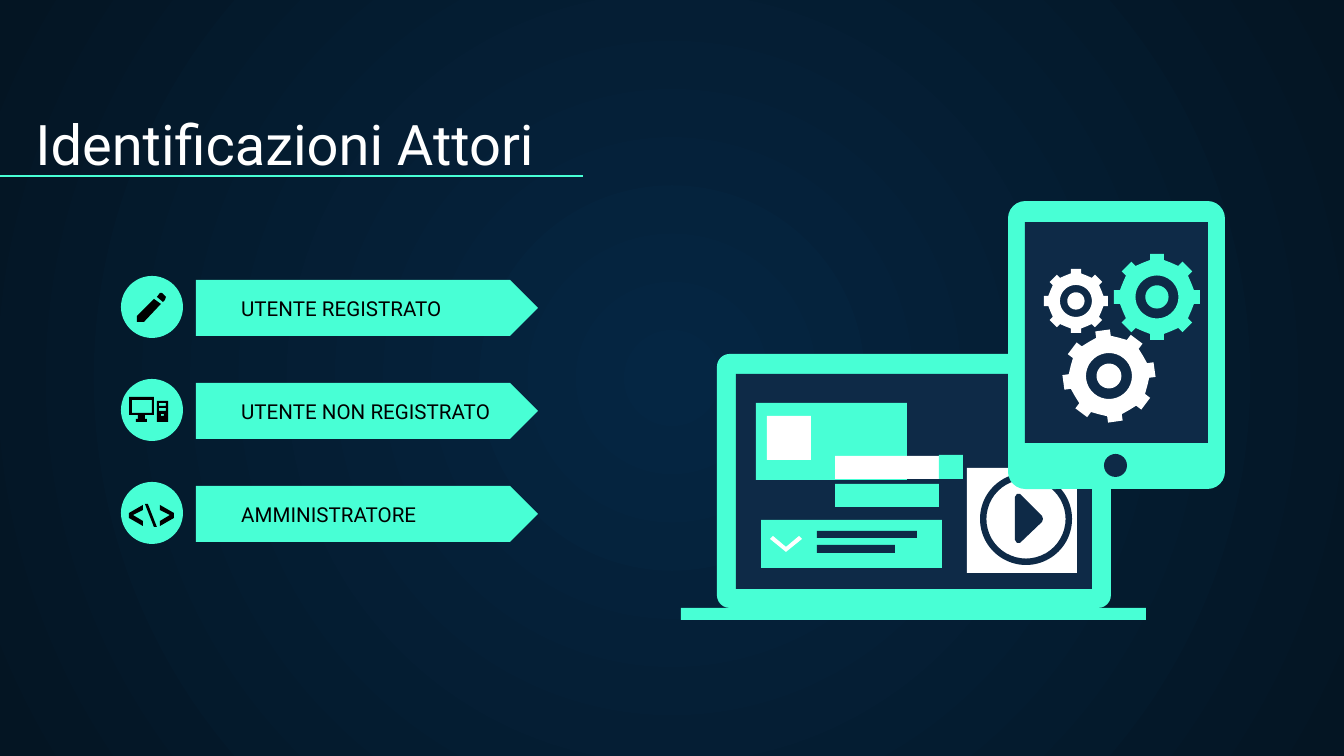
import math

import pptx
import pptx.dml.color
import pptx.enum.shapes
import pptx.enum.text
import pptx.oxml.ns
import pptx.util
from lxml import etree

SCALE = 914400 / 134.4  # EMU in one px
WIDTH, HEIGHT = 1344, 756
FONT = "Roboto"
COLORS = {
    "mint": "48FFD5",
    "navy": "0E2A47",
    "white": "FFFFFF",
    "black": "000000",
    "glow": "052643",
    "edge": "041523",
}
KIND = pptx.enum.shapes.MSO_SHAPE

# Icon outlines, in px from the corner of their disc
PENCIL = [
    [(33, 23), (16, 40), (16, 46), (23, 46), (40, 28)],
    [(36, 21), (42, 26), (44, 24), (45, 21), (41, 17), (39, 17)],
]
LEFT_BRACKET = [(22, 44), (8, 36), (8, 31), (22, 23), (22, 28), (12, 33), (22, 39)]
CODE = [
    LEFT_BRACKET,
    [(24, 22), (27, 22), (36, 45), (33, 45)],
    [(61 - x, y) for x, y in LEFT_BRACKET],
]


def corners(left, top, right, bottom):
    return [(left, top), (right, top), (right, bottom), (left, bottom)]


COMPUTER = [
    [(8, 18), (33, 18), (33, 36), (24, 36), (24, 40), (26, 40), (26, 43),
     (15, 43), (15, 40), (17, 40), (17, 36), (8, 36)],
    corners(11, 21, 31, 34),
    corners(36, 22, 47, 43),
    corners(38, 24, 45, 27),
    corners(38, 29, 45, 32),
    corners(40, 35, 43, 37),
]


def emu(px):
    return pptx.util.Emu(round(px * SCALE))


def rgb(name):
    return pptx.dml.color.RGBColor.from_string(COLORS[name])


def paint(shape, color):
    shape.shadow.inherit = False
    shape.fill.solid()
    shape.fill.fore_color.rgb = rgb(color)
    shape.line.fill.background()
    return shape


def add_block(page, left, top, width, height, color, kind=KIND.RECTANGLE, adjust=None):
    shape = page.shapes.add_shape(kind, emu(left), emu(top), emu(width), emu(height))
    if adjust is not None:
        shape.adjustments[0] = adjust
    return paint(shape, color)


def add_outline(page, left, top, contours, color):
    """Draw closed contours as one shape; inner contours become holes."""
    fine = 100  # steps in one px
    builder = None
    for contour in contours:
        points = [(x * fine, y * fine) for x, y in contour]
        if builder is None:
            builder = page.shapes.build_freeform(*points[0], scale=SCALE / fine)
        else:
            builder.move_to(*points[0])
        builder.add_line_segments(points[1:], close=True)
    return paint(builder.convert_to_shape(emu(left), emu(top)), color)


def write(shape, text, size, color):
    frame = shape.text_frame
    frame.text = text
    frame.word_wrap = True
    frame.auto_size = pptx.enum.text.MSO_AUTO_SIZE.NONE
    frame.vertical_anchor = pptx.enum.text.MSO_ANCHOR.BOTTOM
    frame.margin_left = frame.margin_right = pptx.util.Inches(0.1)
    frame.margin_top = frame.margin_bottom = pptx.util.Inches(0.1)
    para = frame.paragraphs[0]
    para.alignment = pptx.enum.text.PP_ALIGN.LEFT
    for span in para.runs:
        span.font.name = FONT
        span.font.size = pptx.util.Pt(size)
        span.font.color.rgb = rgb(color)


def set_background(page):
    fill = page.background.fill
    fill.gradient()
    for stop, color in zip(fill.gradient_stops, ("glow", "edge")):
        stop.color.rgb = rgb(color)
    # Turn the linear gradient into a radial one
    qn = pptx.oxml.ns.qn
    gradient = page.element.find(".//" + qn("a:gradFill"))
    gradient.remove(gradient.find(qn("a:lin")))
    radial = etree.SubElement(gradient, qn("a:path"), path="circle")
    etree.SubElement(radial, qn("a:fillToRect"), l="50000", t="50000", r="50000", b="50000")


def add_heading(page, left, top, width, height):
    title = page.shapes.title
    title.left, title.top = emu(left), emu(top)
    title.width, title.height = emu(width), emu(height)
    write(title, "Identificazioni Attori", 30, "white")
    # Rule from the slide edge
    rule_y = emu(top + 75)
    rule = page.shapes.add_connector(
        pptx.enum.shapes.MSO_CONNECTOR.STRAIGHT, 0, rule_y, emu(583), rule_y)
    rule.line.color.rgb = rgb("mint")
    rule.line.width = pptx.util.Pt(0.75)
    etree.SubElement(rule._element.spPr, pptx.oxml.ns.qn("a:effectLst"))


def add_actor(page, left, top, label, icon):
    add_block(page, left + 75, top + 4, 342, 56, "mint", KIND.PENTAGON, 0.5)
    add_block(page, left, top, 62, 62, "mint", KIND.OVAL)
    icon_left = left + min(x for contour in icon for x, y in contour)
    icon_top = top + min(y for contour in icon for x, y in contour)
    shape = add_outline(page, left, top, icon, "black")
    shape.left, shape.top = emu(icon_left), emu(icon_top)
    box = page.shapes.add_textbox(emu(left + 107), emu(top + 30), emu(305), emu(28))
    write(box, label, 11, "black")


def add_laptop(page, left, top):
    # Lid, then the flat parts from back to front
    add_block(page, left + 36, top, 394, 254, "mint", KIND.ROUNDED_RECTANGLE, 0.05)
    parts = [
        (55, 20, 356, 215, "navy"),    # screen
        (0, 254, 465, 12, "mint"),     # base
        (75, 49, 151, 77, "mint"),     # card
        (86, 62, 44, 44, "white"),     # thumbnail
        (80, 166, 181, 48, "mint"),    # drop-down
        (136, 177, 100, 7, "navy"),    # text lines
        (136, 191, 78, 8, "navy"),
        (154, 130, 104, 23, "mint"),   # button
        (154, 102, 104, 23, "white"),  # search field
        (258, 101, 24, 24, "mint"),    # search button
        (286, 114, 110, 105, "white"),  # video
    ]
    for x, y, width, height, color in parts:
        add_block(page, left + x, top + y, width, height, color)
    # Chevron and play button
    chevron = [(92, 182), (105, 193), (118, 182), (121, 185), (105, 198), (89, 185)]
    play = [(334, 143), (336, 140), (339, 140), (361, 162), (362, 165),
            (361, 168), (339, 189), (336, 189), (334, 186)]
    add_block(page, left + 299, top + 119, 92, 92, "navy", KIND.DONUT, 0.07)
    for contour, color in ((chevron, "white"), (play, "navy")):
        add_outline(page, left, top, [contour], color)


def add_gear(page, x, y, radius, color, turn=0):
    """Draw an eight-toothed gear around (x, y)."""
    def ring(ratio):
        angles = (math.radians(step * 10) for step in range(36))
        return [(radius * ratio * math.cos(a), radius * ratio * math.sin(a)) for a in angles]

    rim = []
    root, half_tooth = 0.86, 0.16
    for tooth in range(8):
        angle = math.radians(tooth * 45 + turn)
        cos, sin = math.cos(angle), math.sin(angle)
        for along, across in ((root, -half_tooth), (1, -half_tooth), (1, half_tooth), (root, half_tooth)):
            rim.append((radius * (along * cos - across * sin), radius * (along * sin + across * cos)))
        gap = angle + math.pi / 8
        rim.append((radius * root * math.cos(gap), radius * root * math.sin(gap)))
    add_outline(page, x, y, [rim, ring(0.5), ring(0.27)], color)


def add_tablet(page, left, top):
    add_block(page, left, top, 217, 288, "mint", KIND.ROUNDED_RECTANGLE, 0.08)
    add_block(page, left + 17, top + 21, 183, 221, "navy")
    add_block(page, left + 96, top + 253, 23, 23, "navy", KIND.OVAL)
    add_gear(page, left + 149, top + 96, 43, "mint")
    add_gear(page, left + 68, top + 100, 32, "white")
    add_gear(page, left + 101, top + 175, 46, "white", turn=-8)


def main():
    deck = pptx.Presentation()
    deck.slide_width, deck.slide_height = emu(WIDTH), emu(HEIGHT)
    page = deck.slides.add_slide(deck.slide_layouts[5])
    set_background(page)
    add_heading(page, 22, 101, 1152, 89)
    actors = [("UTENTE REGISTRATO", PENCIL), ("UTENTE NON REGISTRATO", COMPUTER), ("AMMINISTRATORE", CODE)]
    for row, (label, icon) in enumerate(actors):
        add_actor(page, 121, 276 + row * 103, label, icon)
    add_laptop(page, 681, 354)
    add_tablet(page, 1008, 201)
    deck.save("out.pptx")


if __name__ == "__main__":
    main()
